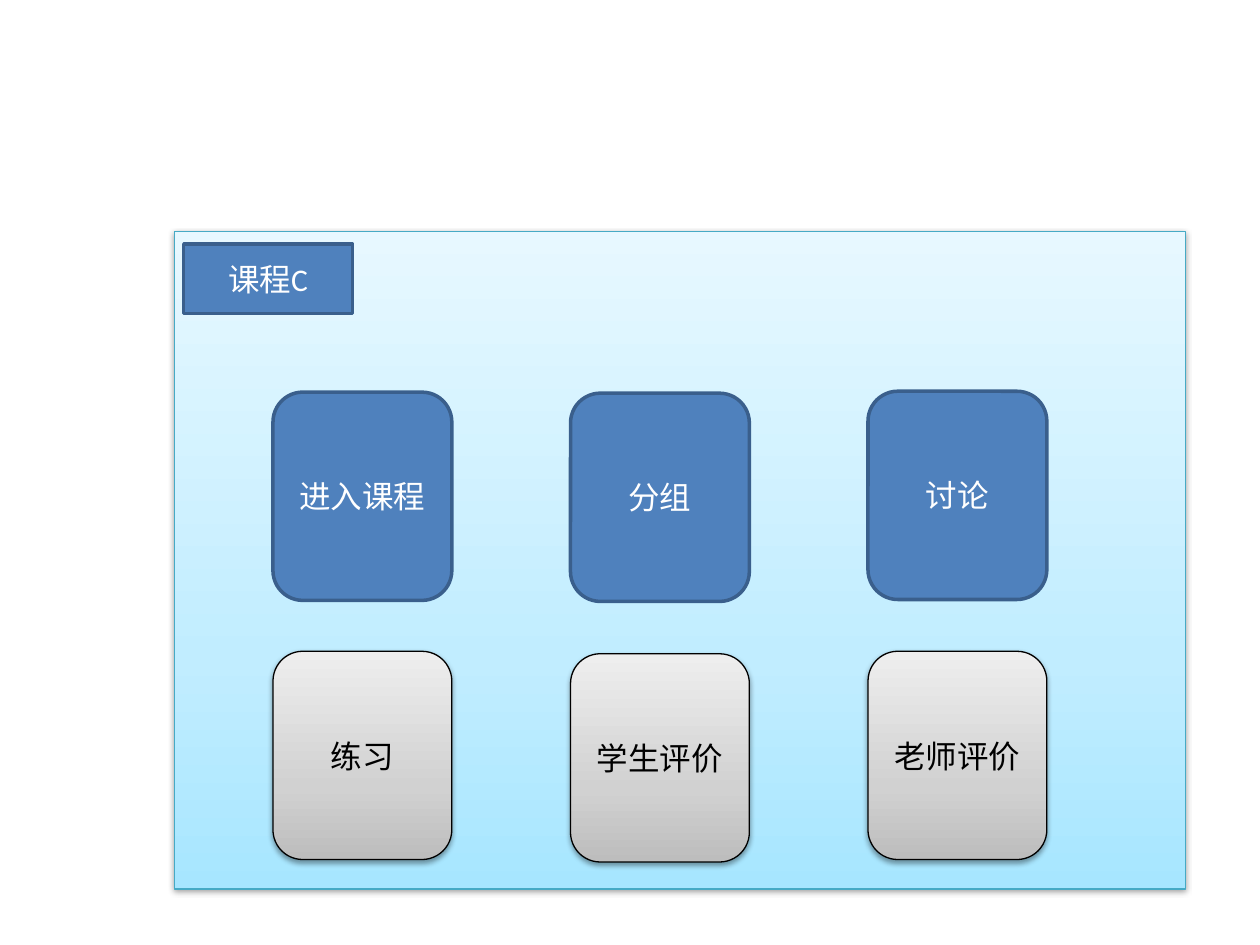
from copy import deepcopy

from lxml import etree
from pptx import Presentation
from pptx.dml.color import RGBColor
from pptx.enum.shapes import MSO_SHAPE as Shape
from pptx.enum.text import MSO_ANCHOR as Anchor, PP_ALIGN as Align
from pptx.oxml.ns import qn
from pptx.util import Pt

WHITE = RGBColor(0xFF, 0xFF, 0xFF)
BLACK = RGBColor(0x00, 0x00, 0x00)
BLUE = RGBColor(0x4F, 0x81, 0xBD)
DARK_BLUE = RGBColor(0x3A, 0x5F, 0x8C)
TEAL = RGBColor(0x46, 0xAA, 0xC5)
SKY = [RGBColor(0xA7, 0xE6, 0xFF), RGBColor(0xC1, 0xED, 0xFF), RGBColor(0xE7, 0xF8, 0xFF)]
GREY = [RGBColor(0xBD, 0xBD, 0xBD), RGBColor(0xD1, 0xD1, 0xD1), RGBColor(0xEE, 0xEE, 0xEE)]


def add_box(kind, left, top, width, height, line_color, line_width, text="", text_color=WHITE):
    shape = slide.shapes.add_shape(kind, Pt(left), Pt(top), Pt(width), Pt(height))
    shape.shadow.inherit = False
    shape.fill.solid()
    shape.fill.fore_color.rgb = BLUE
    shape.line.color.rgb = line_color
    shape.line.width = Pt(line_width)
    if text:
        shape.text_frame.vertical_anchor = Anchor.MIDDLE
        paragraph = shape.text_frame.paragraphs[0]
        paragraph.alignment = Align.CENTER
        run = paragraph.add_run()
        run.text = text
        run.font.name = "Calibri"
        run.font.size = Pt(18)
        run.font.color.rgb = text_color
    return shape


def add_gradient_and_shadow(shape, colors):
    shape.fill.gradient()
    shape.fill.gradient_angle = 90
    properties = shape.element.spPr
    stop_list = properties.find(qn("a:gradFill")).find(qn("a:gsLst"))
    stop_list.insert(1, deepcopy(stop_list[0]))
    for stop, position, color in zip(shape.fill.gradient_stops, (0, 0.35, 1), colors):
        stop.position = position
        stop.color.rgb = color
    shadow = etree.SubElement(
        properties.find(qn("a:effectLst")), qn("a:outerShdw"),
        blurRad=str(Pt(3.15)), dist=str(Pt(1.57)), dir="5400000", rotWithShape="0")
    shadow_color = etree.SubElement(shadow, qn("a:srgbClr"), val=str(BLACK))
    etree.SubElement(shadow_color, qn("a:alpha"), val="38000")


presentation = Presentation()
presentation.slide_width = Pt(720)
presentation.slide_height = Pt(540)
slide = presentation.slides.add_slide(presentation.slide_layouts[6])

panel = add_box(Shape.RECTANGLE, 99.8, 132.3, 577.7, 375.7, TEAL, 0.75)
add_gradient_and_shadow(panel, SKY)
add_box(Shape.RECTANGLE, 105, 139.4, 96.5, 39.8, DARK_BLUE, 2, "课程C")

card_left, card_pitch, card_width, card_height = 156, 170, 102.2, 119
activities = [("进入课程", 224.1), ("分组", 224.7), ("讨论", 223.6)]
assessments = [("练习", 372.2), ("学生评价", 373.6), ("老师评价", 372.2)]

for column, (label, top) in enumerate(activities):
    add_box(Shape.ROUNDED_RECTANGLE, card_left + column * card_pitch, top,
            card_width, card_height, DARK_BLUE, 2, label)

for column, (label, top) in enumerate(assessments):
    card = add_box(Shape.ROUNDED_RECTANGLE, card_left + column * card_pitch, top,
                   card_width, card_height, BLACK, 0.75, label, BLACK)
    add_gradient_and_shadow(card, GREY)

presentation.save("out.pptx")
